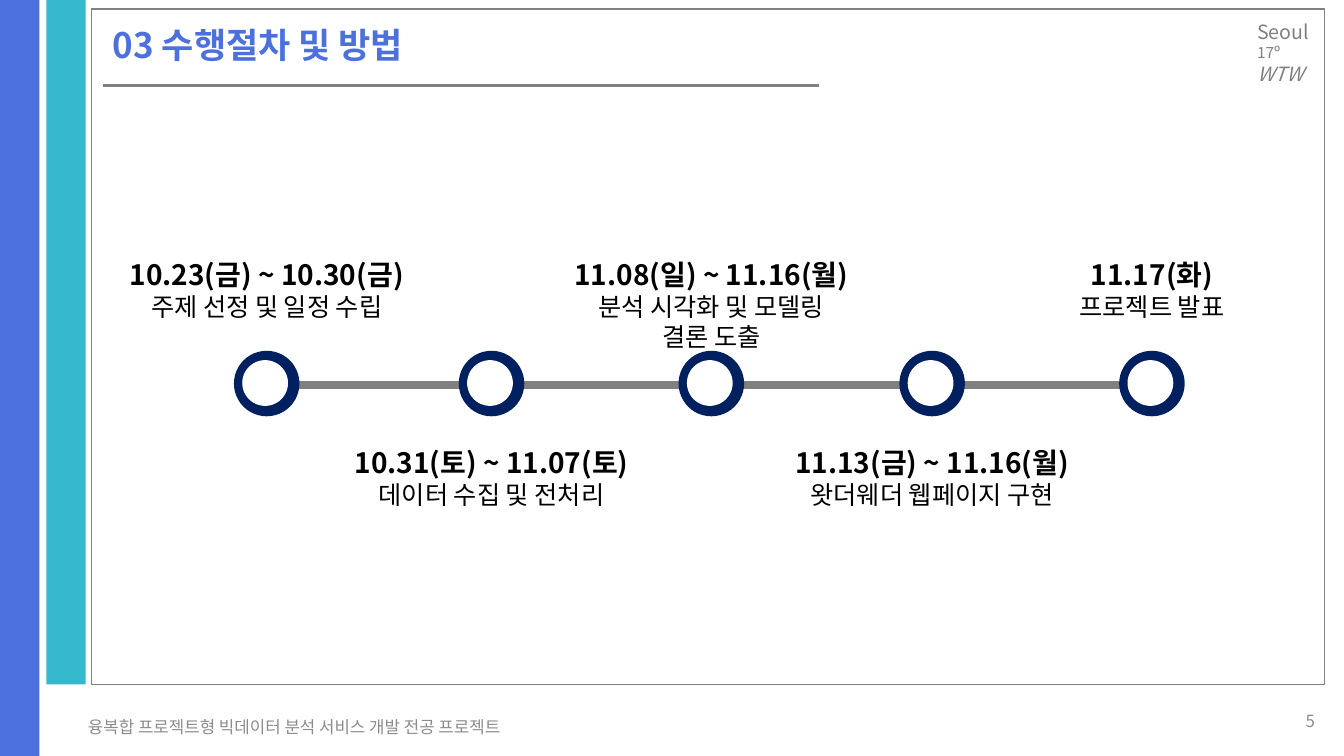
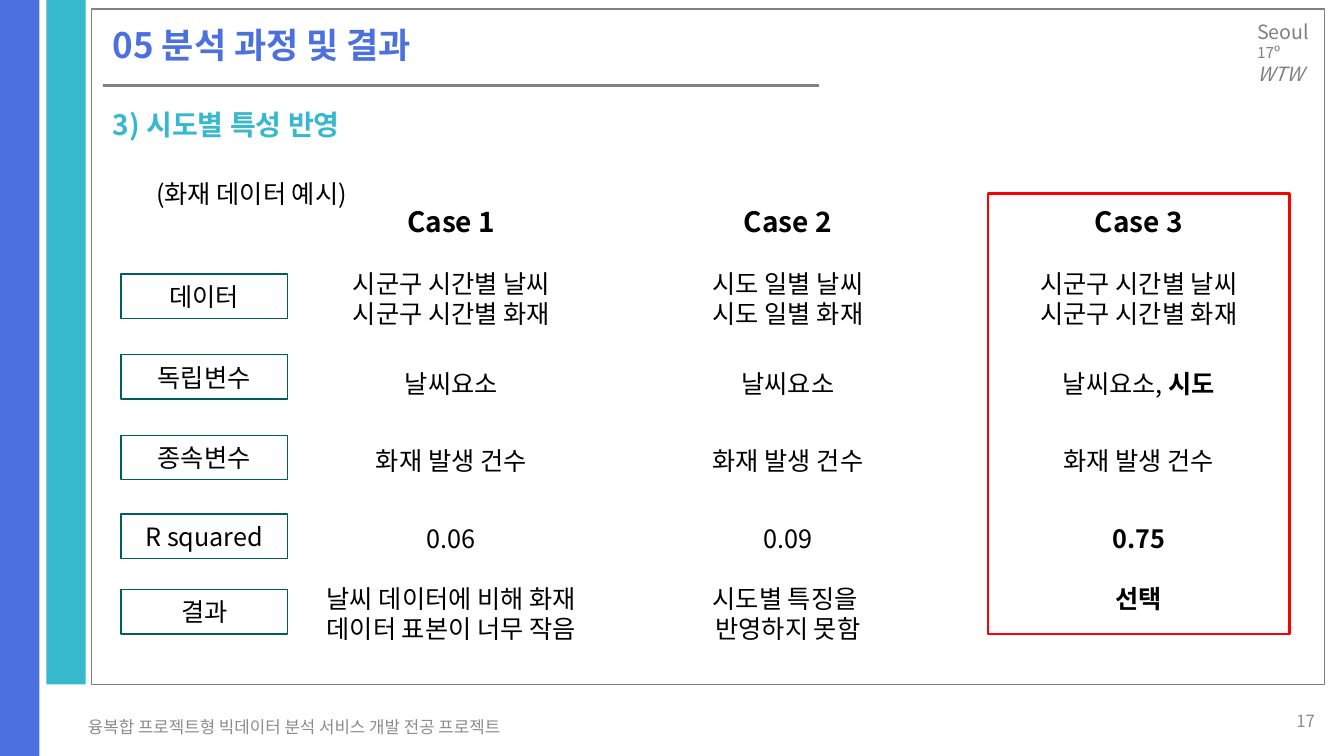
from pptx import Presentation
from pptx.dml.color import RGBColor
from pptx.enum.shapes import MSO_CONNECTOR as CONNECTOR, MSO_SHAPE as SHAPE
from pptx.enum.text import MSO_ANCHOR as ANCHOR, PP_ALIGN as ALIGN
from pptx.oxml.ns import qn
from pptx.util import Inches, Pt
from lxml.etree import SubElement

# Shared style
FONT = "Noto Sans CJK KR"
BLUE = RGBColor(0x4C, 0x71, 0xDE)
TEAL = RGBColor(0x36, 0xB9, 0xCC)
GRAY = RGBColor(0x80, 0x80, 0x80)
FOOTER_GRAY = RGBColor(0x8C, 0x8C, 0x8C)
NAVY = RGBColor(0x00, 0x20, 0x60)
GREEN = RGBColor(0x00, 0x5F, 0x5C)
RED = RGBColor(0xFF, 0x00, 0x00)
BLACK = RGBColor(0x00, 0x00, 0x00)
WHITE = RGBColor(0xFF, 0xFF, 0xFF)
FOOTER = "융복합 프로젝트형 빅데이터 분석 서비스 개발 전공 프로젝트"

# Timeline: circle left edge, date, tasks (labels alternate above and below)
STEPS = [
    (2.32, "10.23(금) ~ 10.30(금)", ["주제 선정 및 일정 수립"]),
    (4.55, "10.31(토) ~ 11.07(토)", ["데이터 수집 및 전처리"]),
    (6.73, "11.08(일) ~ 11.16(월)", ["분석 시각화 및 모델링", "결론 도출"]),
    (8.92, "11.13(금) ~ 11.16(월)", ["왓더웨더 웹페이지 구현"]),
    (11.1, "11.17(화)", ["프로젝트 발표"]),
]
RING, HOLE = 0.65, 0.44
LABEL_WIDTH = 3.41

# Comparison: row labels with their tops, and the space before each row's text
ROWS = [("데이터", 2.72), ("독립변수", 3.52), ("종속변수", 4.32),
        ("R squared", 5.1), ("결과", 5.85)]
ROW_GAPS = [21.5, 28.5, 33.5, 33.5, 21.5]

# Each row is a list of lines, each line a list of (text, bold) spans
CASES = [
    (2.85, "Case 1", [
        [[("시군구 시간별 날씨", False)], [("시군구 시간별 화재", False)]],
        [[("날씨요소", False)]],
        [[("화재 발생 건수", False)]],
        [[("0.06", False)]],
        [[("날씨 데이터에 비해 화재 데이터 표본이 너무 작음", False)]],
    ]),
    (6.19, "Case 2", [
        [[("시도 일별 날씨", False)], [("시도 일별 화재", False)]],
        [[("날씨요소", False)]],
        [[("화재 발생 건수", False)]],
        [[("0.09", False)]],
        [[("시도별 특징을 ", False)], [("반영하지 못함", False)]],
    ]),
    (9.67, "Case 3", [
        [[("시군구 시간별 날씨", False)], [("시군구 시간별 화재", False)]],
        [[("날씨요소, ", False), ("시도", True)]],
        [[("화재 발생 건수", False)]],
        [[("0.75", True)]],
        [[("선택", True)]],
    ]),
]


def add_span(para, text, size, color=BLACK, bold=False, italic=False):
    span = para.add_run()
    span.text = text
    font = span.font
    font.name, font.size, font.bold, font.italic = FONT, Pt(size), bold, italic
    font.color.rgb = color
    east_asian = SubElement(font._element, qn("a:ea"))
    east_asian.set("typeface", FONT)


def add_para(frame, align=ALIGN.LEFT, before=0):
    """Return the empty first paragraph, or a new one after the others."""
    para = frame.paragraphs[0]
    if para.runs:
        para = frame.add_paragraph()
    para.alignment = align
    para.space_before = Pt(before)
    return para


def add_box(page, left, top, width, height, anchor=ANCHOR.TOP):
    box = page.shapes.add_textbox(*map(Inches, (left, top, width, height)))
    frame = box.text_frame
    frame.word_wrap = True
    frame.vertical_anchor = anchor
    return frame


def add_line_of_text(page, place, text, size, color=BLACK, bold=False,
                     align=ALIGN.LEFT, anchor=ANCHOR.TOP):
    para = add_para(add_box(page, *place, anchor), align)
    add_span(para, text, size, color, bold)
    return para


def add_figure(page, kind, place, fill=None, line=None, weight=1):
    figure = page.shapes.add_shape(kind, *map(Inches, place))
    figure.shadow.inherit = False
    if fill is None:
        figure.fill.background()
    else:
        figure.fill.solid()
        figure.fill.fore_color.rgb = fill
    if line is None:
        figure.line.fill.background()
    else:
        figure.line.color.rgb = line
        figure.line.width = Pt(weight)
    return figure


def add_rule(page, left, right, y, weight):
    rule = page.shapes.add_connector(
        CONNECTOR.STRAIGHT, Inches(left), Inches(y), Inches(right), Inches(y))
    rule.line.color.rgb = GRAY
    rule.line.width = Pt(weight)
    SubElement(rule._element.spPr, qn("a:effectLst"))
    return rule


def add_page(deck, title, number):
    page = deck.slides.add_slide(deck.slide_layouts[6])
    # Bands and frame
    add_figure(page, SHAPE.RECTANGLE, (0, 0, 0.39, 7.5), BLUE)
    add_rule(page, 1.02, 8.12, 0.85, 2)
    add_figure(page, SHAPE.RECTANGLE, (0.46, 0, 0.39, 6.79), TEAL)
    add_figure(page, SHAPE.RECTANGLE, (0.91, 0.09, 12.23, 6.7), line=GRAY)
    # Corner note
    corner = add_box(page, 12.37, 0.15, 0.76, 0.77)
    for text, size, italic in [("Seoul", 14, False), ("17º", 11, False),
                               ("WTW", 14, True)]:
        add_span(add_para(corner), text, size, GRAY, italic=italic)
    # Title and footer
    heading = add_line_of_text(page, (1.02, 0.23, 6.43, 0.49), title, 25, BLUE, True)
    heading.line_spacing = 0.9
    add_line_of_text(page, (0.42, 7.01, 5, 0.4), FOOTER, 12, FOOTER_GRAY,
                     align=ALIGN.CENTER, anchor=ANCHOR.MIDDLE)
    add_line_of_text(page, (10.14, 6.95, 3, 0.4), str(number), 12, FOOTER_GRAY,
                     align=ALIGN.RIGHT, anchor=ANCHOR.MIDDLE)
    return page


def add_step(page, left, label_top, date, tasks):
    add_figure(page, SHAPE.OVAL, (left, 3.48, RING, RING), NAVY)
    add_figure(page, SHAPE.OVAL, (left + 0.09, 3.58, HOLE, HOLE), WHITE, WHITE)
    label_left = left + (RING - LABEL_WIDTH) / 2
    frame = add_box(page, label_left, label_top, LABEL_WIDTH, 0.74)
    add_span(add_para(frame, ALIGN.CENTER), date, 20, bold=True)
    for task in tasks:
        add_span(add_para(frame, ALIGN.CENTER), task, 18)


def add_row_label(page, text, top):
    label = add_figure(page, SHAPE.RECTANGLE, (1.2, top, 1.65, 0.44), line=GREEN)
    frame = label.text_frame
    frame.vertical_anchor = ANCHOR.MIDDLE
    add_span(add_para(frame, ALIGN.CENTER), text, 18)


def add_case(page, left, name, rows):
    frame = add_box(page, left, 1.98, 3.25, 4.51)
    add_span(add_para(frame, ALIGN.CENTER), name, 20, bold=True)
    for lines, gap in zip(rows, ROW_GAPS):
        for index, spans in enumerate(lines):
            para = add_para(frame, ALIGN.CENTER, 0 if index else gap)
            for text, bold in spans:
                add_span(para, text, 18, bold=bold)


def build_schedule(deck):
    page = add_page(deck, "03 수행절차 및 방법", 5)
    axis = add_rule(page, 2.51, 11.58, 3.82, 6)
    SubElement(axis.line._get_or_add_ln(), qn("a:tailEnd")).set("type", "triangle")
    for index, (left, date, tasks) in enumerate(STEPS):
        add_step(page, left, 4.37 if index % 2 else 2.51, date, tasks)


def build_comparison(deck):
    page = add_page(deck, "05 분석 과정 및 결과", 17)
    add_line_of_text(page, (1.02, 1.02, 4, 0.44), "3) 시도별 특성 반영", 20, TEAL, True)
    add_line_of_text(page, (1.45, 1.72, 5.56, 0.4), "(화재 데이터 예시)", 18)
    for text, top in ROWS:
        add_row_label(page, text, top)
    for case in CASES:
        add_case(page, *case)
    # Chosen case
    add_figure(page, SHAPE.RECTANGLE, (9.8, 1.92, 2.99, 4.37), line=RED, weight=1.75)


def main():
    deck = Presentation()
    deck.slide_width, deck.slide_height = Inches(13.33), Inches(7.5)
    build_schedule(deck)
    build_comparison(deck)
    deck.save("out.pptx")


if __name__ == "__main__":
    main()
